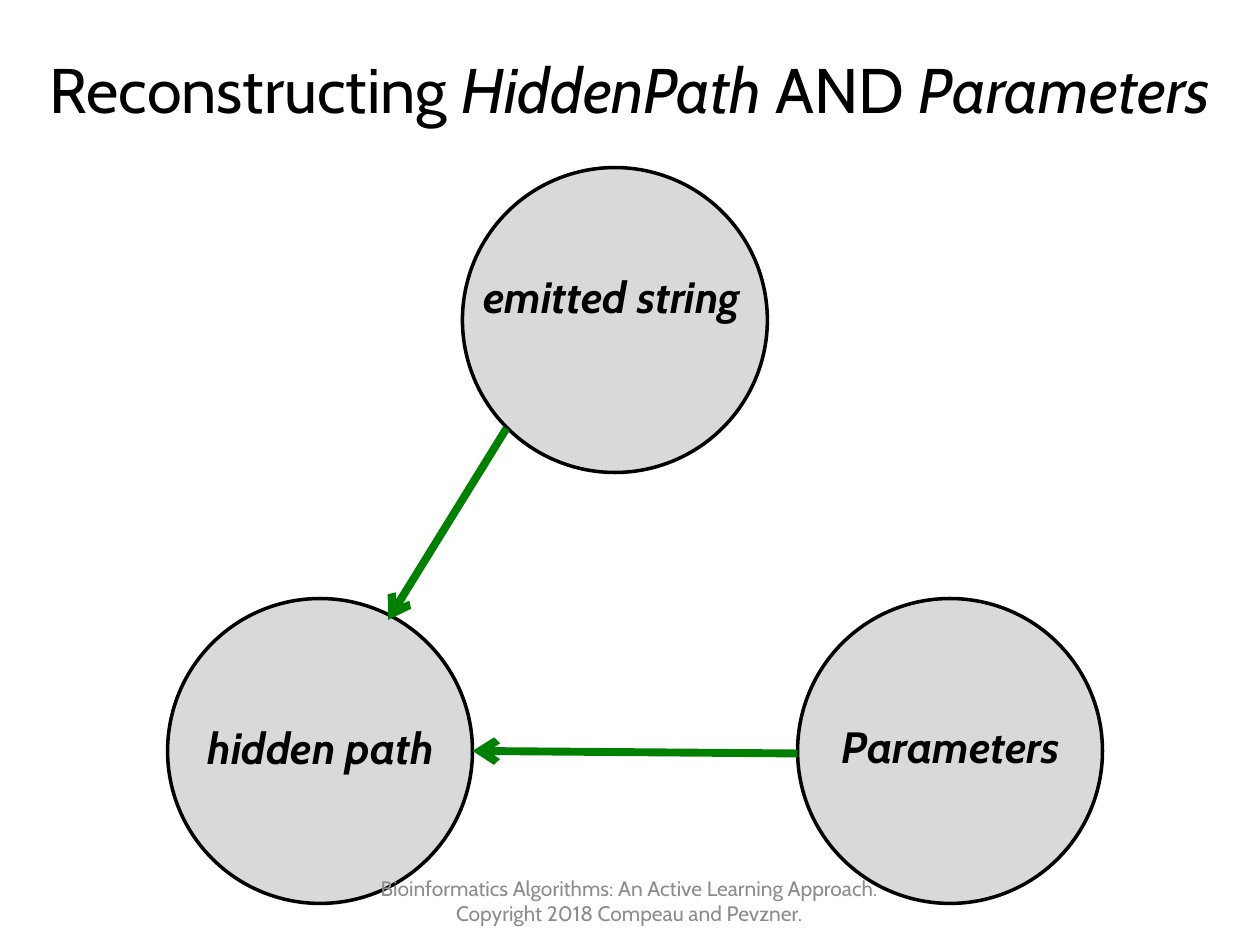
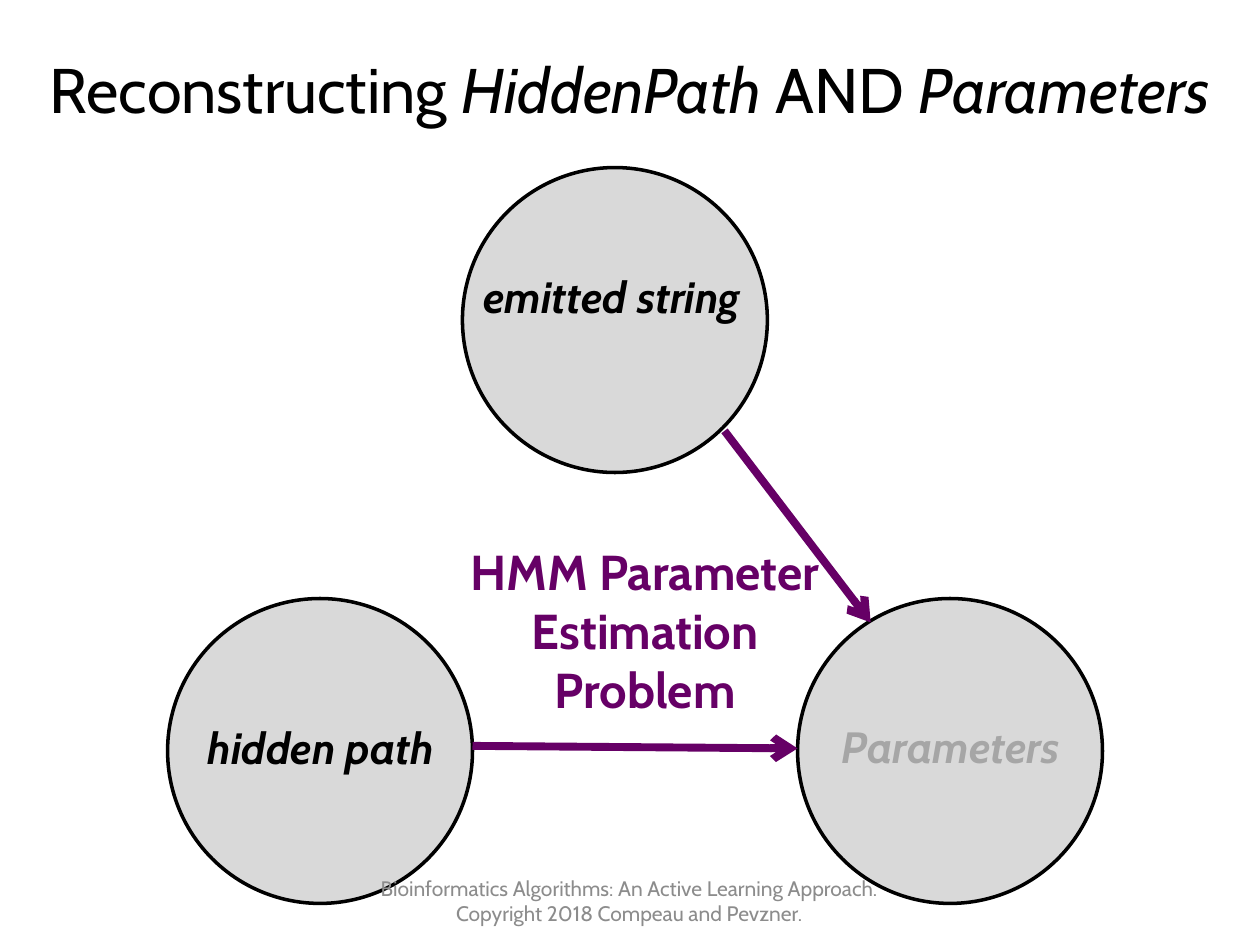
from dataclasses import dataclass

from lxml.etree import SubElement
from pptx import Presentation
from pptx.dml.color import RGBColor
from pptx.enum.shapes import MSO_CONNECTOR, MSO_SHAPE
from pptx.enum.text import MSO_ANCHOR, PP_ALIGN
from pptx.oxml.ns import qn
from pptx.util import Inches, Pt


@dataclass(frozen=True)
class Theme:
    font: str = "Cabin"
    ink: str = "000000"
    disc: str = "D9D9D9"
    faded: str = "A6A6A6"
    footer: str = "8C8C8C"
    green: str = "008000"
    purple: str = "660066"
    title_size: int = 36
    note_size: int = 28
    label_size: int = 25
    foot_size: int = 12
    rim: float = 2
    arrow: float = 4.5


THEME = Theme()
SIZE = 2.42  # diameter of every circle
LABEL = 2.25  # width of every circle label
FOOTER = ("Bioinformatics Algorithms: An Active Learning Approach. "
          "Copyright 2018 Compeau and Pevzner.")
TITLE = [("Reconstructing ", False), ("HiddenPath", True),
         (" AND ", False), ("Parameters", True)]
# Circle corner, then label corner
NODES = {
    "emitted string": ((3.67, 1.33), (3.73, 2.09)),
    "Parameters": ((6.33, 4.75), (6.42, 5.66)),
    "hidden path": ((1.33, 4.75), (1.42, 5.67)),
}


def add_run(para, text, size, color, bold=False, italic=False):
    run = para.add_run()
    run.text = text
    font = run.font
    font.name, font.size = THEME.font, Pt(size)
    font.bold, font.italic = bold, italic
    font.color.rgb = RGBColor.from_string(color)


def add_text(slide, box, text, size, color, bold=False, italic=False,
             anchor=MSO_ANCHOR.TOP, inset=0.1):
    frame = slide.shapes.add_textbox(*map(Inches, box)).text_frame
    frame.word_wrap = True
    frame.vertical_anchor = anchor
    frame.margin_left = frame.margin_right = Inches(inset)
    para = frame.paragraphs[0]
    para.alignment = PP_ALIGN.CENTER
    add_run(para, text, size, color, bold, italic)


def add_title(slide):
    title = slide.shapes.title
    title.left, title.top = Inches(0), Inches(0.08)
    title.width, title.height = Inches(10), Inches(1.25)
    frame = title.text_frame
    frame.vertical_anchor = MSO_ANCHOR.MIDDLE
    para = frame.paragraphs[0]
    para.alignment = PP_ALIGN.CENTER
    for text, italic in TITLE:
        add_run(para, text, THEME.title_size, THEME.ink, italic=italic)


def add_node(slide, name, color):
    corner, spot = NODES[name]
    disc = slide.shapes.add_shape(
        MSO_SHAPE.OVAL, *map(Inches, (*corner, SIZE, SIZE)))
    disc.shadow.inherit = False
    disc.fill.solid()
    disc.fill.fore_color.rgb = RGBColor.from_string(THEME.disc)
    disc.line.color.rgb = RGBColor.from_string(THEME.ink)
    disc.line.width = Pt(THEME.rim)
    add_text(slide, (*spot, LABEL, 0.52), name, THEME.label_size, color,
             bold=True, italic=True, inset=0.02)


def add_arrow(slide, start, end, color):
    line = slide.shapes.add_connector(
        MSO_CONNECTOR.STRAIGHT, *map(Inches, (*start, *end)))
    line.line.color.rgb = RGBColor.from_string(color)
    line.line.width = Pt(THEME.arrow)
    SubElement(line.line._get_or_add_ln(), qn("a:tailEnd"), type="arrow")
    SubElement(line._element.spPr, qn("a:effectLst"))


def add_scene(deck, arrows, color, faded=()):
    """Build the title, circles, arrows and footer that the slides share."""
    slide = deck.slides.add_slide(deck.slide_layouts[5])
    add_title(slide)
    for name in NODES:
        add_node(slide, name, THEME.faded if name in faded else THEME.ink)
    for start, end in arrows:
        add_arrow(slide, start, end, color)
    add_text(slide, (2.83, 6.95, 4.33, 0.4), FOOTER, THEME.foot_size,
             THEME.footer, anchor=MSO_ANCHOR.MIDDLE)
    return slide


def main():
    deck = Presentation()
    deck.slide_width, deck.slide_height = Inches(10), Inches(7.5)

    # Finding the hidden path
    add_scene(deck, [((4.02, 3.4), (3.08, 4.92)),
                     ((6.33, 5.98), (3.75, 5.96))], THEME.green)

    # Estimating the parameters
    slide = add_scene(deck, [((5.75, 3.42), (6.91, 4.94)),
                             ((3.75, 5.92), (6.33, 5.94))],
                      THEME.purple, faded=("Parameters",))
    add_text(slide, (3.58, 4.25, 3.08, 1.51),
             "HMM Parameter Estimation Problem", THEME.note_size,
             THEME.purple, bold=True)

    deck.save("out.pptx")


if __name__ == "__main__":
    main()
